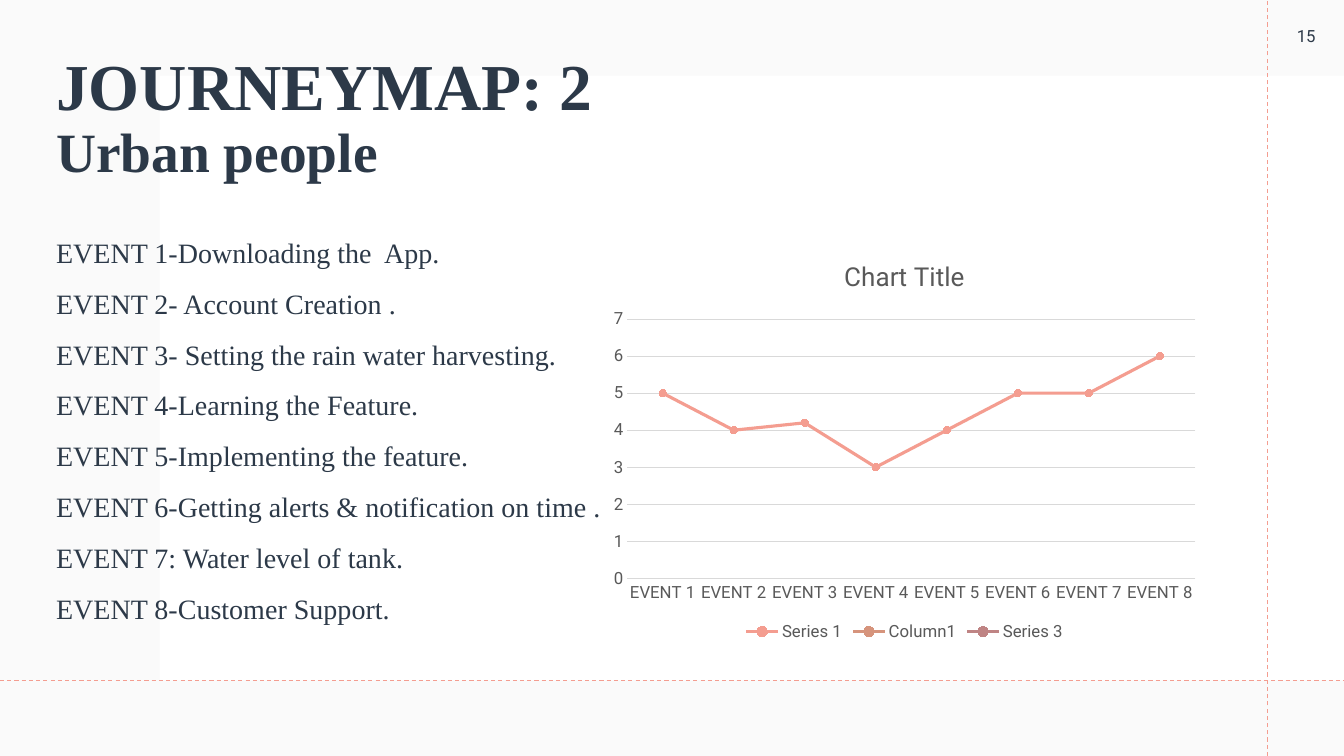
from pptx import Presentation
from pptx.chart.data import CategoryChartData
from pptx.dml.color import RGBColor
from pptx.enum.chart import XL_CHART_TYPE, XL_LEGEND_POSITION, XL_MARKER_STYLE, XL_TICK_MARK
from pptx.enum.dml import MSO_LINE
from pptx.enum.shapes import MSO_CONNECTOR, MSO_SHAPE
from pptx.enum.text import MSO_ANCHOR, PP_ALIGN
from pptx.oxml.ns import qn
from pptx.util import Pt
from lxml import etree

RECT, STRAIGHT, DASH = MSO_SHAPE.RECTANGLE, MSO_CONNECTOR.STRAIGHT, MSO_LINE.DASH
TOP, MIDDLE, BOTTOM = MSO_ANCHOR.TOP, MSO_ANCHOR.MIDDLE, MSO_ANCHOR.BOTTOM
LEFT, CENTER = PP_ALIGN.LEFT, PP_ALIGN.CENTER
LINE_MARKERS, CIRCLE = XL_CHART_TYPE.LINE_MARKERS, XL_MARKER_STYLE.CIRCLE
LEGEND_BOTTOM, NO_TICK = XL_LEGEND_POSITION.BOTTOM, XL_TICK_MARK.NONE

EMU_PER_PX = 9525
WIDTH, HEIGHT = 1280, 720
SERIF, SANS = "Times New Roman", "Roboto"
NAVY, CORAL, GRAY, GRID = "2C3948", "F49D90", "595959", "D9D9D9"

EVENTS = [
    "EVENT 1-Downloading the  App.",
    "EVENT 2- Account Creation .",
    "EVENT 3- Setting the rain water harvesting.",
    "EVENT 4-Learning the Feature.",
    "EVENT 5-Implementing the feature.",
    "EVENT 6-Getting alerts & notification on time .",
    "EVENT 7: Water level of tank.",
    "EVENT 8-Customer Support.",
]
SERIES = [
    ("Series 1", [5, 4, 4.2, 3, 4, 5, 5, 6], CORAL),
    ("Column1", [None] * len(EVENTS), "D6947C"),
    ("Series 3", [None] * len(EVENTS), "BF8484"),
]


def px(*lengths):
    return [n * EMU_PER_PX for n in lengths]


def rgb(color):
    return RGBColor.from_string(color)


def set_font(font, size, color, name=SANS, bold=False):
    font.size, font.name, font.bold = Pt(size), name, bold
    font.color.rgb = rgb(color)


def set_line(line, color, width):
    line.color.rgb = rgb(color)
    line.width = Pt(width)


def add_panel(slide, box, color, alpha=100):
    sp = slide.shapes.add_shape(RECT, *px(*box))
    sp.shadow.inherit = False
    sp.line.fill.background()
    sp.fill.solid()
    sp.fill.fore_color.rgb = rgb(color)
    if alpha < 100:
        clr = sp.fill._xPr.find(".//" + qn("a:srgbClr"))
        etree.SubElement(clr, qn("a:alpha")).set("val", str(alpha * 1000))


def add_guide(slide, *ends):
    cxn = slide.shapes.add_connector(STRAIGHT, *px(*ends))
    set_line(cxn.line, CORAL, 0.75)
    cxn.line.dash_style = DASH
    etree.SubElement(cxn._element.spPr, qn("a:effectLst"))


def add_text(slide, box, lines, sizes, font=SERIF, bold=False, anchor=TOP,
             align=LEFT, spacing=1.0, before=0):
    tf = slide.shapes.add_textbox(*px(*box)).text_frame
    tf.word_wrap = True
    tf.vertical_anchor = anchor
    for i, (line, size) in enumerate(zip(lines, sizes)):
        p = tf.add_paragraph() if i else tf.paragraphs[0]
        p.alignment, p.line_spacing, p.space_before = align, spacing, Pt(before)
        r = p.add_run()
        r.text = line
        set_font(r.font, size, NAVY, font, bold)


def style_axis(axis):
    axis.major_tick_mark = axis.minor_tick_mark = NO_TICK
    set_font(axis.tick_labels.font, 12, GRAY)


def add_journey_chart(slide, box):
    data = CategoryChartData()
    data.categories = [f"EVENT {n}" for n in range(1, len(EVENTS) + 1)]
    for name, values, _ in SERIES:
        data.add_series(name, values)
    chart = slide.shapes.add_chart(LINE_MARKERS, *px(*box), data).chart
    set_font(chart.font, 10, "000000")

    # Title and legend
    chart.has_title = True
    p = chart.chart_title.text_frame.paragraphs[0]
    r = p.add_run()
    r.text = "Chart Title"
    set_font(r.font, 18.6, GRAY)
    chart.chart_title.include_in_layout = False
    chart.has_legend = True
    chart.legend.position = LEGEND_BOTTOM
    chart.legend.include_in_layout = False
    set_font(chart.legend.font, 12, GRAY)

    # Axes
    cat, val = chart.category_axis, chart.value_axis
    style_axis(cat)
    style_axis(val)
    set_line(cat.format.line, GRID, 0.75)
    val.format.line.fill.background()
    val.minimum_scale, val.maximum_scale, val.major_unit = 0, 7, 1
    set_line(val.major_gridlines.format.line, GRID, 0.75)

    # Series
    plot = chart.plots[0]
    plot.vary_by_categories = False
    for ser, (_, _, color) in zip(plot.series, SERIES):
        ser.smooth = False
        set_line(ser.format.line, color, 2.25)
        ser.marker.style, ser.marker.size = CIRCLE, 5
        ser.marker.format.fill.solid()
        ser.marker.format.fill.fore_color.rgb = rgb(color)
        set_line(ser.marker.format.line, color, 0.75)


def main():
    prs = Presentation()
    prs.slide_width, prs.slide_height = px(WIDTH, HEIGHT)
    slide = prs.slides.add_slide(prs.slide_layouts[6])

    # Background panels and guides
    add_panel(slide, (0, 0, WIDTH, HEIGHT), "F4F4F4", alpha=45)
    add_panel(slide, (152, 72, WIDTH - 152, 576), "FFFFFF")
    add_guide(slide, 1207, HEIGHT, 1207, 0)
    add_guide(slide, 0, 648, WIDTH, 648)

    # Heading, events and page number
    add_text(slide, (44, 48, 1104, 132), ["JOURNEYMAP: 2", "Urban people"],
             [46.8, 39.6], bold=True, anchor=BOTTOM, spacing=0.9)
    add_text(slide, (44, 216, 547, 429), EVENTS, [20] * len(EVENTS),
             spacing=1.1, before=10)
    add_text(slide, (1208, -2, 72, 72), ["15"], [12], font=SANS,
             anchor=MIDDLE, align=CENTER)

    # Journey chart
    add_journey_chart(slide, (573, 230, 577, 385))
    prs.save("out.pptx")


if __name__ == "__main__":
    main()
